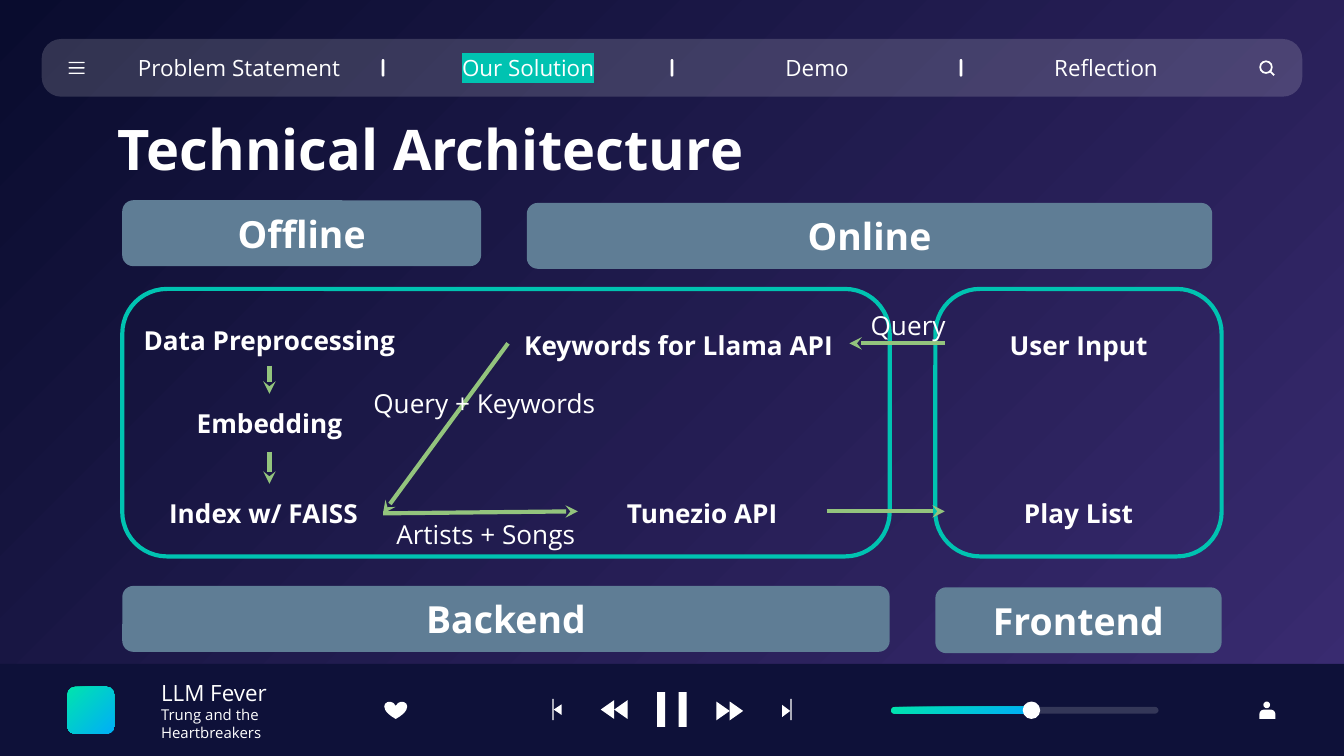
from dataclasses import dataclass

import lxml.etree
import pptx
import pptx.dml.color
import pptx.enum.shapes
import pptx.enum.text
import pptx.oxml.ns
import pptx.util

Inches = pptx.util.Inches
qn = pptx.oxml.ns.qn
SHAPE = pptx.enum.shapes.MSO_SHAPE
ALIGN = pptx.enum.text.PP_ALIGN
ANCHOR = pptx.enum.text.MSO_ANCHOR

COLORS = {
    "white": "FFFFFF", "teal": "00C3B1", "steel": "5F7D95", "arrow": "93C47D",
    "player": "0E1139", "night": "090C2E", "violet": "3B2C72",
    "mint": "00E4AE", "sky": "00AEF8",
}
TOP, LEFT, BOTTOM, RIGHT = range(4)


@dataclass
class Box:
    x: float
    y: float
    w: float
    h: float

    def lengths(self) -> list:
        return [Inches(v) for v in (self.x, self.y, self.w, self.h)]


@dataclass
class Label:
    text: str
    box: Box
    size: float = 14
    bold: bool = True
    align: ALIGN = ALIGN.CENTER
    anchor: ANCHOR = ANCHOR.TOP


def rgb(name: str) -> pptx.dml.color.RGBColor:
    return pptx.dml.color.RGBColor.from_string(COLORS[name])


def apply_gradient(fill, start: str, end: str, angle: float) -> None:
    fill.gradient()
    fill.gradient_angle = angle
    for stop, name in zip(fill.gradient_stops, (start, end)):
        stop.color.rgb = rgb(name)


def paint(shape, color: str | None, alpha: int = 100):
    """Fill a shape with a colour, with the accent gradient, or not at all."""
    shape.shadow.inherit = False
    shape.line.fill.background()
    if color is None:
        shape.fill.background()
    elif color == "accent":
        apply_gradient(shape.fill, "mint", "sky", 315)
    else:
        shape.fill.solid()
        shape.fill.fore_color.rgb = rgb(color)
        if alpha < 100:
            tint = shape.element.spPr.find(qn("a:solidFill"))[0]
            lxml.etree.SubElement(tint, qn("a:alpha"), val=str(alpha * 1000))
    return shape


def add_block(kind: SHAPE, box: Box, color: str | None, alpha: int = 100, adj: float | None = None):
    block = slide.shapes.add_shape(kind, *box.lengths())
    if adj is not None:
        block.adjustments[0] = adj
    return paint(block, color, alpha)


def add_triangle(base: float, tip: float, middle: float, height: float) -> None:
    builder = slide.shapes.build_freeform(Inches(base), Inches(middle - height / 2))
    builder.add_line_segments([(Inches(tip), Inches(middle)),
                               (Inches(base), Inches(middle + height / 2))])
    paint(builder.convert_to_shape(), "white")


def write(shape, label: Label) -> None:
    frame = shape.text_frame
    layout = dict(word_wrap=True, vertical_anchor=label.anchor,
                  **{f"margin_{side}": Inches(0.1) for side in ("left", "top", "right", "bottom")})
    for name, value in layout.items():
        setattr(frame, name, value)
    frame.text = label.text
    for paragraph in frame.paragraphs:
        paragraph.alignment = label.align
        style(paragraph.runs[0].font, label.size, label.bold)


def style(font, size: float, bold: bool) -> None:
    for name, value in dict(name="Open Sans", size=pptx.util.Pt(size), bold=bold).items():
        setattr(font, name, value)
    font.color.rgb = rgb("white")


def add_label(label: Label):
    text_box = slide.shapes.add_textbox(*label.box.lengths())
    write(text_box, label)
    return text_box


def add_line(start: tuple, end: tuple, color: str, width: float):
    line = slide.shapes.add_connector(pptx.enum.shapes.MSO_CONNECTOR.STRAIGHT,
                                      *[Inches(v) for v in start + end])
    line.line.color.rgb = rgb(color)
    line.line.width = pptx.util.Pt(width)
    lxml.etree.SubElement(line.element.spPr, qn("a:effectLst"))
    return line


def add_arrow(source, source_side: int, target, target_side: int) -> None:
    arrow = add_line((0, 0), (1, 1), "arrow", 2.25)
    arrow.begin_connect(source, source_side)
    arrow.end_connect(target, target_side)
    lxml.etree.SubElement(arrow.element.spPr.find(qn("a:ln")), qn("a:tailEnd"), type="stealth")


# Widescreen 16:9 slide
deck = pptx.Presentation()
deck.slide_width, deck.slide_height = Inches(10), Inches(10 * 9 / 16)
slide = deck.slides.add_slide(deck.slide_layouts[6])
apply_gradient(slide.background.fill, "violet", "night", 135)

# Player bar: cover, song, heart
add_block(SHAPE.RECTANGLE, Box(0, 4.94, 10, 10 * 9 / 16 - 4.94), "player")
add_block(SHAPE.HEART, Box(2.86, 5.22, 0.17, 0.13), "white")
add_block(SHAPE.ROUNDED_RECTANGLE, Box(0.5, 5.11, 0.35, 0.35), "accent")
song = add_label(Label("LLM Fever\nTrung and the Heartbreakers", Box(1.1, 5.11, 1.51, 0.35),
                       12, False, ALIGN.LEFT, ANCHOR.MIDDLE))
song.text_frame.paragraphs[1].runs[0].font.size = pptx.util.Pt(8)

# Playback controls
for x in (4.89, 5.05):
    add_block(SHAPE.RECTANGLE, Box(x, 5.15, 0.06, 0.26), "white")
for x in (5.33, 5.43):
    add_triangle(x, x + 0.1, 5.29, 0.14)
for x in (4.57, 4.67):
    add_triangle(x, x - 0.1, 5.28, 0.14)
add_triangle(5.82, 5.88, 5.29, 0.09)
add_triangle(4.18, 4.12, 5.28, 0.08)
for x in (4.11, 5.88):
    add_block(SHAPE.RECTANGLE, Box(x, 5.2, 0.01, 0.16), "white")

# Volume slider and profile icon
add_block(SHAPE.ROUNDED_RECTANGLE, Box(6.63, 5.26, 1.99, 0.05), "white", 16, 0.5)
add_block(SHAPE.ROUNDED_RECTANGLE, Box(6.63, 5.26, 1.04, 0.05), "accent", adj=0.5)
add_block(SHAPE.OVAL, Box(7.61, 5.22, 0.13, 0.13), "white")
add_block(SHAPE.ROUND_2_SAME_RECTANGLE, Box(9.37, 5.28, 0.12, 0.07), "white", adj=0.5)
add_block(SHAPE.OVAL, Box(9.4, 5.22, 0.05, 0.05), "white")

# Navigation bar: menu, search, separators, sections
add_block(SHAPE.ROUNDED_RECTANGLE, Box(0.31, 0.29, 9.38, 0.43), "white", 16, 0.34)
for y in (0.46, 0.5, 0.54):
    add_block(SHAPE.ROUNDED_RECTANGLE, Box(0.51, y, 0.12, 0.01), "white", adj=0.5)
add_block(SHAPE.DONUT, Box(9.37, 0.45, 0.1, 0.1), "white", adj=0.13)
add_line((9.45, 0.53), (9.48, 0.56), "white", 1)
for i in range(3):
    add_block(SHAPE.ROUNDED_RECTANGLE, Box(2.84 + 2.15 * i, 0.44, 0.02, 0.13), "white", adj=0.5)

current_section = "Our Solution"
for i, section in enumerate(["Problem Statement", current_section, "Demo", "Reflection"]):
    tab = add_label(Label(section, Box(0.78 + 2.15 * i, 0.33, 2, 0.35), 12, False,
                          anchor=ANCHOR.MIDDLE))
    if section == current_section:
        run_fill = tab.element.find(".//" + qn("a:rPr")).find(qn("a:solidFill"))
        highlight = lxml.etree.Element(qn("a:highlight"))
        lxml.etree.SubElement(highlight, qn("a:srgbClr"), val=COLORS["teal"])
        run_fill.addnext(highlight)

add_label(Label("Technical Architecture", Box(0.78, 0.9, 8.44, 0.41), 30, True,
                ALIGN.LEFT, ANCHOR.MIDDLE))

# Backend and frontend panels
for x, width in ((0.91, 5.71), (6.96, 2.13)):
    panel = add_block(SHAPE.ROUNDED_RECTANGLE, Box(x, 2.15, width, 1.99), None)
    panel.line.color.rgb = rgb("teal")
    panel.line.width = pptx.util.Pt(2.25)

# Headings above and below the panels
for heading in (
    Label("Online", Box(3.92, 1.51, 5.1, 0.49), 20, anchor=ANCHOR.MIDDLE),
    Label("Offline", Box(0.91, 1.49, 2.67, 0.49), 20, anchor=ANCHOR.MIDDLE),
    Label("Backend", Box(0.91, 4.36, 5.71, 0.49), 20, anchor=ANCHOR.MIDDLE),
    Label("Frontend", Box(6.96, 4.37, 2.13, 0.49), 20, anchor=ANCHOR.MIDDLE),
):
    write(add_block(SHAPE.ROUNDED_RECTANGLE, heading.box, "steel"), heading)

# Pipeline steps and their arrows
preprocessing = add_label(Label("Data Preprocessing", Box(0.95, 2.31, 2.11, 0.41)))
embedding = add_label(Label("Embedding", Box(0.95, 2.93, 2.11, 0.43)))
index = add_label(Label("Index w/ FAISS", Box(1.16, 3.6, 1.69, 0.44), align=ALIGN.LEFT))
keywords = add_label(Label("Keywords for Llama API", Box(3.78, 2.35, 2.54, 0.41)))
music_api = add_label(Label("Tunezio API", Box(4.3, 3.6, 1.85, 0.41)))
user_input = add_label(Label("User Input", Box(7.03, 2.35, 1.99, 0.41)))
play_list = add_label(Label("Play List", Box(7.03, 3.6, 1.99, 0.41)))

for flow in (
    (preprocessing, BOTTOM, embedding, TOP),
    (embedding, BOTTOM, index, TOP),
    (user_input, LEFT, keywords, RIGHT),
    (keywords, LEFT, index, RIGHT),
    (index, RIGHT, music_api, LEFT),
    (music_api, RIGHT, play_list, LEFT),
):
    add_arrow(*flow)

# What each arrow carries
for payload, box in (
    ("Query", Box(6.38, 2.2, 0.93, 0.35)),
    ("Query + Keywords", Box(2.68, 2.78, 2.44, 0.35)),
    ("Artists + Songs", Box(2.85, 3.76, 1.72, 0.35)),
):
    add_label(Label(payload, box, bold=False, align=ALIGN.LEFT))

deck.save("out.pptx")
